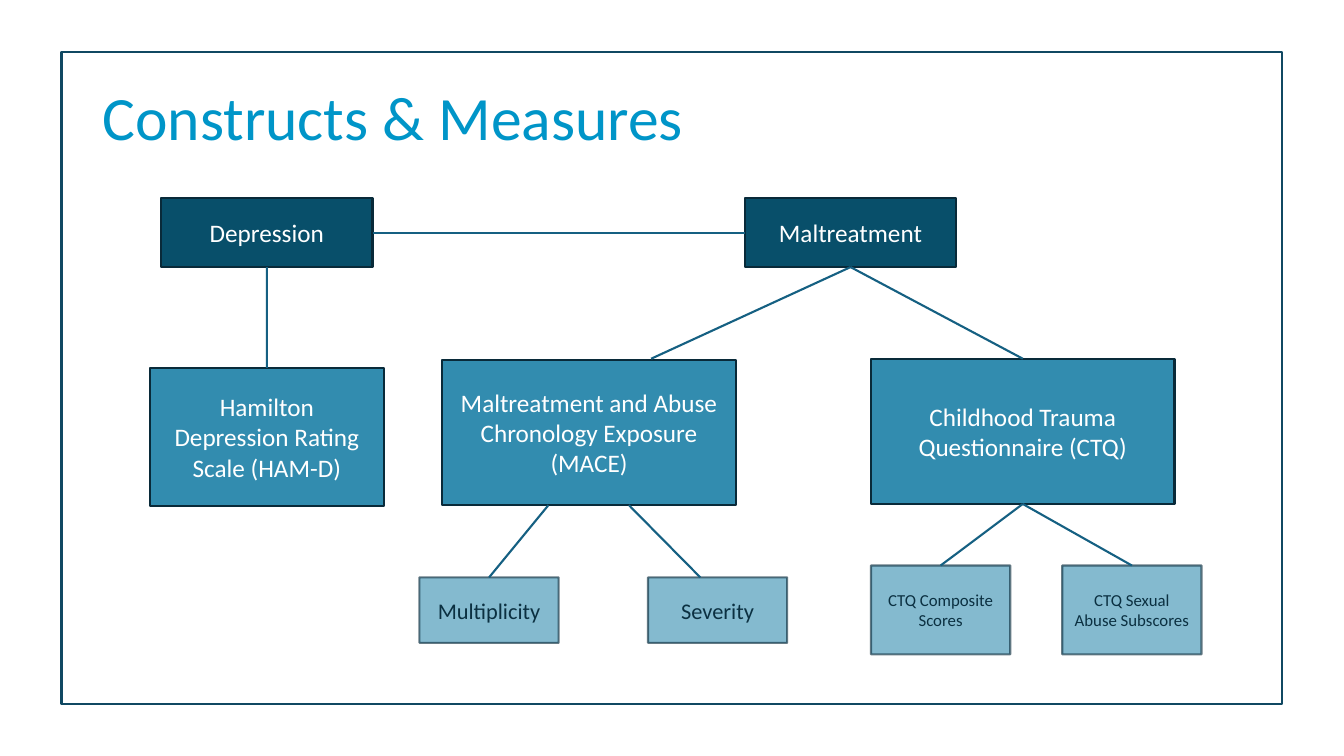
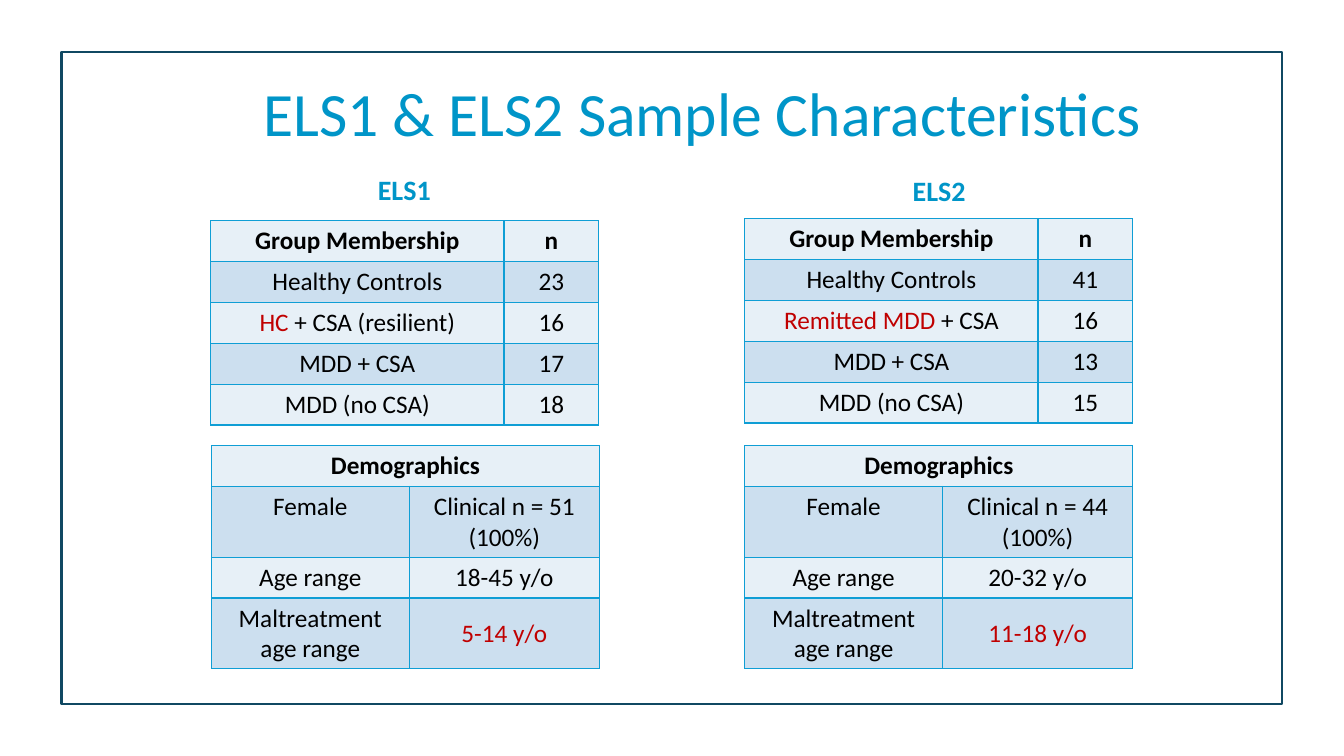
"""Build two slides: a diagram of constructs and measures, and tables of sample characteristics."""
from lxml import etree
from pptx import Presentation
from pptx.dml.color import RGBColor
from pptx.enum import shapes, text
from pptx.oxml import ns
from pptx.util import Cm, Pt

FONT = "Calibri"
TITLE, FRAME, LINK, DARK = "0095C8", "104862", "156082", "092A39"
BLACK, WHITE, RED, BORDER = "000000", "FFFFFF", "C00000", "0F9ED5"
BANDS = ["E7F0F7", "CCDFEF"]


def paint(color_format, color, opacity=100):
    color_format.rgb = RGBColor.from_string(color)
    if opacity < 100:
        for element in color_format._xFill.iter(ns.qn("a:srgbClr")):
            etree.SubElement(element, ns.qn("a:alpha"), val=str(opacity * 1000))


def write(paragraph, content, size, color, bold=False, align=text.PP_ALIGN.CENTER):
    paragraph.alignment = align
    run = paragraph.add_run()
    run.text = content
    run.font.name, run.font.size, run.font.bold = FONT, Pt(size), bold
    paint(run.font.color, color)


presentation = Presentation()
presentation.slide_width, presentation.slide_height = Cm(33.87), Cm(19.05)

titles = [
    ("Constructs & Measures", 2.33, 1.2, text.PP_ALIGN.LEFT),
    ("ELS1 & ELS2 Sample Characteristics", 3.1, 1.1, text.PP_ALIGN.CENTER),
]
for heading, left, top, align in titles:
    slide = presentation.slides.add_slide(presentation.slide_layouts[5])
    title = slide.shapes.title
    title.left, title.top, title.width, title.height = Cm(left), Cm(top), Cm(29.21), Cm(3.68)
    title.text_frame.auto_size = text.MSO_AUTO_SIZE.NONE
    title.text_frame.vertical_anchor = text.MSO_ANCHOR.MIDDLE
    title.text_frame.paragraphs[0].line_spacing = 0.9
    write(title.text_frame.paragraphs[0], heading, 44, TITLE, align=align)
    frame = slide.shapes.add_shape(
        shapes.MSO_SHAPE.RECTANGLE, Cm(1.55), Cm(1.32), Cm(30.76), Cm(16.43))
    frame.shadow.inherit = False
    frame.fill.background()
    frame.line.width = Pt(1.5)
    paint(frame.line.color, FRAME)

diagram, samples = presentation.slides

levels = {
    "construct": ("084F6A", 100, 100, WHITE),
    "measure": ("0B76A0", 84, 100, WHITE),
    "score": ("0B76A0", 50, 62, "0B3041"),
}
boxes = [
    ("Depression", "construct", 18, 4.06, 5, 5.33, 1.73),
    ("Maltreatment", "construct", 18, 18.77, 5, 5.33, 1.73),
    ("Hamilton Depression Rating Scale (HAM-D)", "measure", 18, 3.78, 9.27, 5.89, 3.48),
    ("Maltreatment and Abuse Chronology Exposure (MACE)", "measure", 18, 11.15, 9.07, 7.39, 3.66),
    ("Childhood Trauma Questionnaire (CTQ)", "measure", 18, 21.95, 9.04, 7.65, 3.66),
    ("Multiplicity", "score", 16, 10.57, 14.55, 3.51, 1.65),
    ("Severity", "score", 16, 16.33, 14.55, 3.51, 1.65),
    ("CTQ Composite Scores", "score", 12, 21.95, 14.25, 3.51, 2.24),
    ("CTQ Sexual Abuse Subscores", "score", 12, 26.77, 14.25, 3.51, 2.24),
]
drawn = []
for label, level, size, *place in boxes:
    fill, fill_opacity, line_opacity, ink = levels[level]
    box = diagram.shapes.add_shape(shapes.MSO_SHAPE.RECTANGLE, *map(Cm, place))
    box.shadow.inherit = False
    box.fill.solid()
    paint(box.fill.fore_color, fill, fill_opacity)
    box.line.width = Pt(1.5)
    paint(box.line.color, DARK, line_opacity)
    box.text_frame.word_wrap = True
    box.text_frame.vertical_anchor = text.MSO_ANCHOR.MIDDLE
    write(box.text_frame.paragraphs[0], label, size, ink)
    drawn.append(box)
depression, maltreatment, hamilton, mace, ctq, multiplicity, severity, composite, sexual = drawn

TOP, LEFT, BOTTOM, RIGHT = range(4)
links = [
    ((depression, RIGHT), (maltreatment, LEFT)),
    ((depression, BOTTOM), (hamilton, TOP)),
    ((maltreatment, BOTTOM), (16.41, 9.04)),
    ((maltreatment, BOTTOM), (ctq, TOP)),
    ((13.82, 12.73), (multiplicity, TOP)),
    ((15.85, 12.73), (17.65, 14.55)),
    ((ctq, BOTTOM), (composite, TOP)),
    ((ctq, BOTTOM), (sexual, TOP)),
]
for start, end in links:
    link = diagram.shapes.add_connector(shapes.MSO_CONNECTOR.STRAIGHT, 0, 0, 0, 0)
    if start[0] in drawn:
        link.begin_connect(*start)
    else:
        link.begin_x, link.begin_y = map(Cm, start)
    if end[0] in drawn:
        link.end_connect(*end)
    else:
        link.end_x, link.end_y = map(Cm, end)
    link.line.width = Pt(1.5)
    paint(link.line.color, LINK)
    etree.SubElement(link._element.spPr, ns.qn("a:effectLst"))

for name, left, top in [("ELS1", 9.02, 4.22), ("ELS2", 22.5, 4.24)]:
    label = samples.shapes.add_textbox(Cm(left), Cm(top), Cm(2.34), Cm(1.12))
    label.text_frame.word_wrap = True
    write(label.text_frame.paragraphs[0], name, 20, TITLE, bold=True)

group_widths, group_heights = [7.39, 2.39], [1.03] * 5
people_widths, people_heights = [4.98, 4.8], [1.03, 1.78, 1.03, 1.78]
tables = [
    (5.31, 5.56, group_widths, group_heights, [
        ("Group Membership", "n"), ("Healthy Controls", "23"),
        (("HC ", "+ CSA (resilient)"), "16"), ("MDD + CSA", "17"), ("MDD (no CSA)", "18")]),
    (18.77, 5.51, group_widths, group_heights, [
        ("Group Membership", "n"), ("Healthy Controls", "41"),
        (("Remitted MDD ", "+ CSA"), "16"), ("MDD + CSA", "13"), ("MDD (no CSA)", "15")]),
    (5.33, 11.23, people_widths, people_heights, [
        ("Demographics", None), ("Female", "Clinical n = 51 (100%)"),
        ("Age range", "18-45 y/o"), ("Maltreatment age range", ("5-14 y/o", ""))]),
    (18.77, 11.23, people_widths, people_heights, [
        ("Demographics", None), ("Female", "Clinical n = 44 (100%)"),
        ("Age range", "20-32 y/o"), ("Maltreatment age range", ("11-18 y/o", ""))]),
]
for left, top, widths, heights, rows in tables:
    table = samples.shapes.add_table(
        len(rows), 2, Cm(left), Cm(top), Cm(sum(widths)), Cm(sum(heights))).table
    table.first_row = table.horz_banding = False
    for column, width in zip(table.columns, widths):
        column.width = Cm(width)
    for row_index, row in enumerate(rows):
        table.rows[row_index].height = Cm(heights[row_index])
        for column_index, content in enumerate(row):
            cell = table.cell(row_index, column_index)
            properties = cell._tc.get_or_add_tcPr()
            for side in ("lnL", "lnR", "lnT", "lnB"):
                edge = etree.SubElement(properties, ns.qn(f"a:{side}"), w=str(Pt(1)))
                solid = etree.SubElement(edge, ns.qn("a:solidFill"))
                etree.SubElement(solid, ns.qn("a:srgbClr"), val=BORDER)
            cell.fill.solid()
            paint(cell.fill.fore_color, BANDS[row_index % 2])
            if content is None:
                table.cell(row_index, 0).merge(cell)
                continue
            if widths is people_widths and column_index == 1:
                cell.vertical_anchor = text.MSO_ANCHOR.MIDDLE
            red, black = content if isinstance(content, tuple) else ("", content)
            for part, color in ((red, RED), (black, BLACK)):
                if part:
                    write(cell.text_frame.paragraphs[0], part, 18, color, bold=row_index == 0)

presentation.save("out.pptx")
